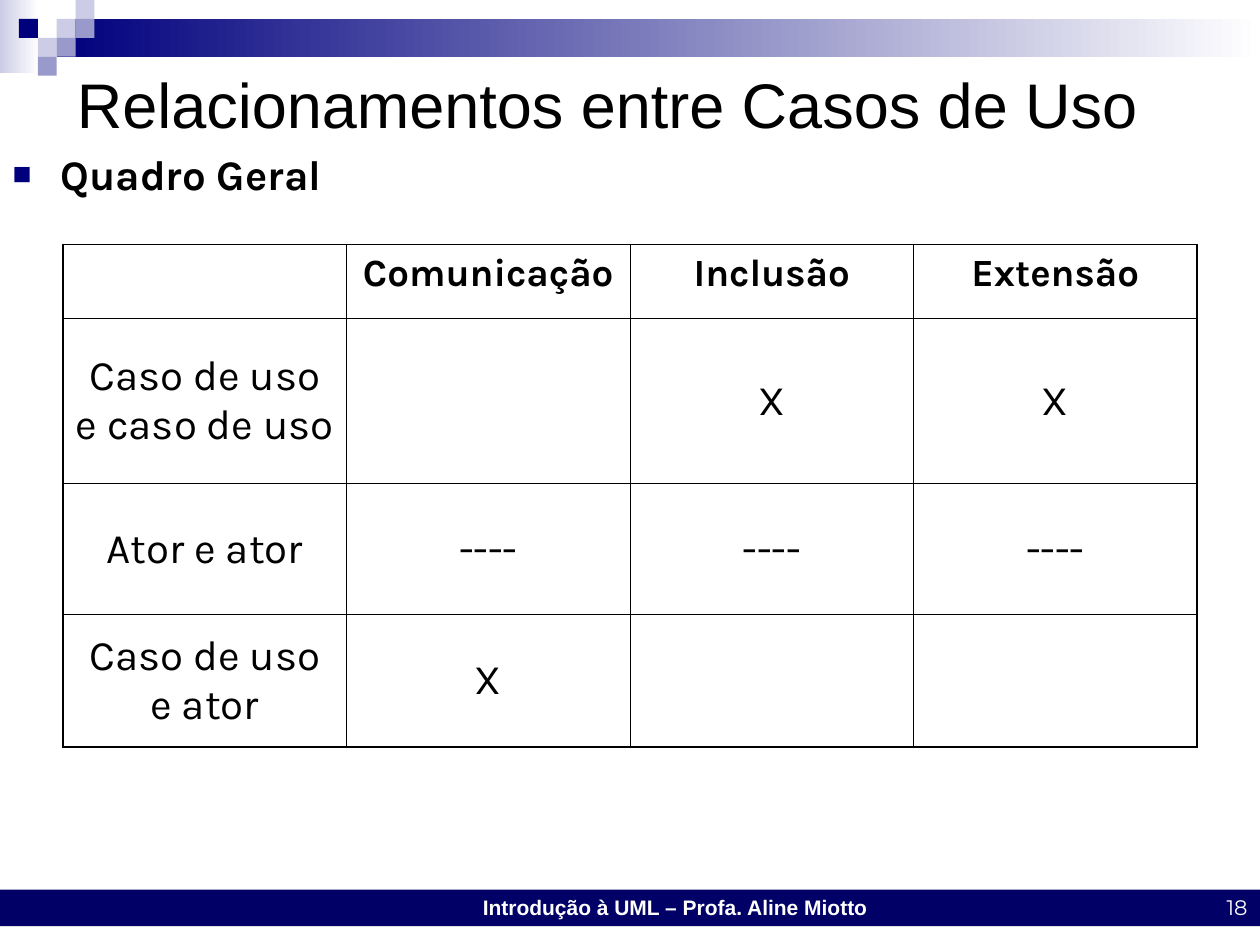
from lxml import etree
from pptx import Presentation
from pptx import util as u
from pptx.dml import color
from pptx.enum import shapes, text
from pptx.oxml import ns

HUES = {
    "navy": "00007D",
    "foot": "000066",
    "mid": "9999CC",
    "pale": "CCCCE6",
    "white": "FFFFFF",
    "black": "000000",
}
LEFT, MID, RIGHT = text.PP_ALIGN.LEFT, text.PP_ALIGN.CENTER, text.PP_ALIGN.RIGHT
TOP, CORE, LOW = text.MSO_ANCHOR.TOP, text.MSO_ANCHOR.MIDDLE, text.MSO_ANCHOR.BOTTOM

ROWS = [
    ["", "Comunicação", "Inclusão", "Extensão"],
    ["Caso de uso e caso de uso", "", "X", "X"],
    ["Ator e ator", "----", "----", "----"],
    ["Caso de uso e ator", "X", "", ""],
]
HEIGHTS = [0.59, 1.31, 1.04, 1.05]
SQUARES = [
    (3, 1, "pale"), (4, 0, "pale"), (4, 1, "mid"), (2, 2, "pale"),
    (1, 1, "navy"), (3, 2, "mid"), (2, 3, "mid"),
]


def rgb(name):
    return color.RGBColor.from_string(HUES[name])


def apply(item, **values):
    for key, value in values.items():
        setattr(item, key, value)


def place(shape, box):
    apply(shape, **dict(zip(("left", "top", "width", "height"), map(u.Inches, box))))


def write(frame, words, hue, align=LEFT, **font):
    para = frame.paragraphs[0]
    para.text = words
    para.alignment = align
    face = para.runs[0].font
    apply(face, **font)
    face.color.rgb = rgb(hue)
    return para


def block(slide, box, *hues):
    shape = slide.shapes.add_shape(shapes.MSO_SHAPE.RECTANGLE, *map(u.Inches, box))
    shape.shadow.inherit = False
    shape.line.fill.background()
    if len(hues) == 1:
        shape.fill.solid()
        shape.fill.fore_color.rgb = rgb(hues[0])
        return
    shape.fill.gradient()
    shape.fill.gradient_angle = 0
    for stop, hue, spot in zip(shape.fill.gradient_stops, hues, (0, 1)):
        stop.color.rgb = rgb(hue)
        stop.position = spot


def banner(slide, box):
    left, top, width, height = box
    side = height / 4
    block(slide, (left, top, 0.31, 0.58), "pale", "white")
    block(slide, (left + 3 * side, top + side, width - 3 * side, 2 * side), "navy", "white")
    for col, row, hue in SQUARES:
        block(slide, (left + col * side, top + row * side, side, side), hue)


def footer(slide, box):
    left, top, width, height = box
    block(slide, box, "foot")
    note = slide.shapes.add_textbox(*map(u.Inches, (left + 3.73, top - 0.01, 3.26, 0.3)))
    note.text_frame.word_wrap = False
    write(note.text_frame, "Introdução à UML – Profa. Aline Miotto", "white", MID,
          name="Arial", size=u.Pt(12), bold=True)
    page = slide.shapes.add_textbox(
        *map(u.Inches, (left + width - 2.33, top + height - 0.5, 2.33, 0.5)))
    apply(page.text_frame, word_wrap=True, vertical_anchor=LOW)
    write(page.text_frame, "18", "white", RIGHT, name="Montserrat", size=u.Pt(12))


def title(slide, box):
    shape = slide.shapes.title
    place(shape, box)
    apply(shape.text_frame, vertical_anchor=CORE, auto_size=text.MSO_AUTO_SIZE.NONE)
    write(shape.text_frame, "Relacionamentos entre Casos de Uso", "black",
          name="Arial", size=u.Pt(36))


def bullet(para):
    props = para._p.get_or_add_pPr()
    for key, value in (("marL", 0.38), ("indent", -0.38)):
        props.set(key, str(u.Inches(value)))
    tint = etree.SubElement(props, ns.qn("a:buClr"))
    etree.SubElement(tint, ns.qn("a:srgbClr"), val=HUES["navy"])
    etree.SubElement(props, ns.qn("a:buSzPct"), val="75000")
    etree.SubElement(props, ns.qn("a:buFont"), typeface="Arial")
    etree.SubElement(props, ns.qn("a:buChar"), char="■")


def body(slide, box):
    shape = slide.placeholders[1]
    place(shape, box)
    apply(shape.text_frame, vertical_anchor=TOP, auto_size=text.MSO_AUTO_SIZE.NONE)
    para = write(shape.text_frame, "Quadro Geral", "black",
                 name="Karla", size=u.Pt(24), bold=True)
    bullet(para)
    apply(para, line_spacing=0.9, space_before=u.Pt(0), space_after=u.Pt(6))


def border(cell, outer):
    props = cell._tc.get_or_add_tcPr()
    for spot, side in enumerate("LRTB"):
        width = u.Pt(1.08 if side in outer else 0.45)
        line = etree.Element(ns.qn(f"a:ln{side}"), w=str(width))
        fill = etree.SubElement(line, ns.qn("a:solidFill"))
        etree.SubElement(fill, ns.qn("a:srgbClr"), val=HUES["black"])
        props.insert(spot, line)


def grid(slide, box):
    last = len(ROWS) - 1
    end = len(ROWS[0]) - 1
    table = slide.shapes.add_table(last + 1, end + 1, *map(u.Inches, box)).table
    apply(table, first_row=False, horz_banding=False)
    for col in table.columns:
        col.width = u.Inches(box[2] / (end + 1))
    for r, words in enumerate(ROWS):
        table.rows[r].height = u.Inches(HEIGHTS[r])
        head = r == 0
        for c, word in enumerate(words):
            cell = table.cell(r, c)
            cell.fill.background()
            edges = {"L": c == 0, "R": c == end, "T": head, "B": r == last}
            border(cell, [side for side, on in edges.items() if on])
            cell.vertical_anchor = TOP if head else CORE
            if word:
                write(cell.text_frame, word, "black", MID, name="Karla",
                      size=u.Pt(22 if head else 24), bold=head)


def main():
    deck = Presentation()
    apply(deck, slide_width=u.Inches(10), slide_height=u.Inches(7.5))
    slide = deck.slides.add_slide(deck.slide_layouts[1])
    banner(slide, (0, 0, 10, 0.6))
    footer(slide, (0, 7.06, 10, 0.29))
    title(slide, (0.51, 0.36, 8.67, 0.92))
    body(slide, (0, 1.17, 9.25, 5.65))
    grid(slide, (0.5, 1.94, 9, sum(HEIGHTS)))
    deck.save("out.pptx")


if __name__ == "__main__":
    main()
